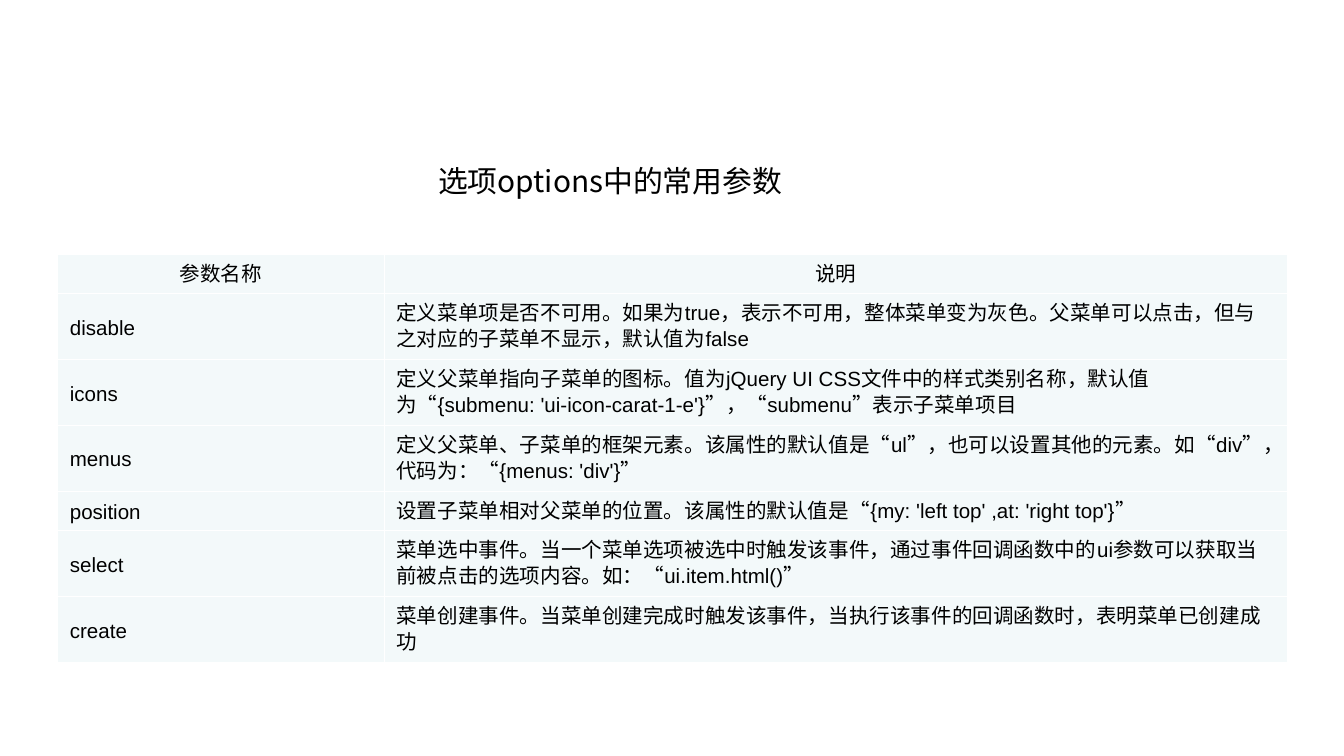
from pptx import Presentation
from pptx.dml.color import RGBColor
from pptx.enum.lang import MSO_LANGUAGE_ID
from pptx.enum.text import MSO_ANCHOR, PP_ALIGN
from pptx.oxml import parse_xml
from pptx.oxml.ns import nsdecls
from pptx.util import Inches, Pt

TITLE = "选项options中的常用参数"
HEADER = ("参数名称", "说明")
OPTIONS = [
    ("disable", "定义菜单项是否不可用。如果为true，表示不可用，整体菜单变为灰色。父菜单可以点击，但与之对应的子菜单不显示，默认值为false"),
    ("icons", "定义父菜单指向子菜单的图标。值为jQuery UI CSS文件中的样式类别名称，默认值为“{submenu: 'ui-icon-carat-1-e'}”，“submenu”表示子菜单项目"),
    ("menus", "定义父菜单、子菜单的框架元素。该属性的默认值是“ul”，也可以设置其他的元素。如“div”，代码为：“{menus: 'div'}”"),
    ("position", "设置子菜单相对父菜单的位置。该属性的默认值是“{my: 'left top' ,at: 'right top'}”"),
    ("select", "菜单选中事件。当一个菜单选项被选中时触发该事件，通过事件回调函数中的ui参数可以获取当前被点击的选项内容。如：“ui.item.html()”"),
    ("create", "菜单创建事件。当菜单创建完成时触发该事件，当执行该事件的回调函数时，表明菜单已创建成功"),
]
ROWS = [HEADER, *OPTIONS]
COLUMN_WIDTHS = (2.43, 6.72)
ROW_HEIGHTS = (0.23, 0.45, 0.46, 0.45, 0.23, 0.46, 0.39)
CHINESE_FONT = "Noto Sans CJK SC"
BLACK, WHITE, PALE_BLUE = "000000", "FFFFFF", "F3F9FA"


def color(value):
    return RGBColor.from_string(value)


def write_text(frame, text, size, font="Arial", align=PP_ALIGN.LEFT, line_spacing=None):
    frame.word_wrap = True
    paragraph = frame.paragraphs[0]
    paragraph.alignment = align
    paragraph.line_spacing = line_spacing
    run = paragraph.add_run()
    run.text = text
    run.font.size = Pt(size)
    run.font.name = font
    run.font.color.rgb = color(BLACK)
    run.font.language_id = MSO_LANGUAGE_ID.SIMPLIFIED_CHINESE
    east_asian = parse_xml(f'<a:ea {nsdecls("a")} typeface="{CHINESE_FONT}"/>')
    run.font._element.find("{*}latin").addnext(east_asian)


def set_borders(cell, line_color, width):
    properties = cell._tc.get_or_add_tcPr()
    for position, side in enumerate(("lnL", "lnR", "lnT", "lnB")):
        properties.insert(position, parse_xml(
            f'<a:{side} {nsdecls("a")} w="{Pt(width)}"><a:solidFill>'
            f'<a:srgbClr val="{line_color}"/></a:solidFill></a:{side}>'))


def add_title(slide):
    title = slide.shapes.title
    title.left, title.top = Inches(3.16), Inches(1.16)
    title.width, title.height = Inches(4.17), Inches(0.64)
    title.text_frame.vertical_anchor = MSO_ANCHOR.TOP
    write_text(title.text_frame, TITLE, 16, font=CHINESE_FONT)


def add_options_table(slide):
    table = slide.shapes.add_table(
        len(ROWS), len(COLUMN_WIDTHS), Inches(0.43), Inches(1.89),
        Inches(sum(COLUMN_WIDTHS)), Inches(sum(ROW_HEIGHTS))).table
    for column, width in zip(table.columns, COLUMN_WIDTHS):
        column.width = Inches(width)
    for row_index, texts in enumerate(ROWS):
        table.rows[row_index].height = Inches(ROW_HEIGHTS[row_index])
        for column_index, text in enumerate(texts):
            cell = table.cell(row_index, column_index)
            cell.vertical_anchor = MSO_ANCHOR.MIDDLE
            cell.margin_left = cell.margin_right = Inches(0.09)
            cell.margin_top = cell.margin_bottom = Inches(0.05)
            cell.fill.solid()
            cell.fill.fore_color.rgb = color(PALE_BLUE)
            set_borders(cell, WHITE, 0.45)
            align = PP_ALIGN.CENTER if row_index == 0 else PP_ALIGN.LEFT
            write_text(cell.text_frame, text, 11, align=align, line_spacing=Pt(14))
    table.first_row = False
    table.horz_banding = False


def main():
    presentation = Presentation()
    presentation.slide_width = Inches(10)
    presentation.slide_height = presentation.slide_width * 9 // 16
    slide = presentation.slides.add_slide(presentation.slide_layouts[5])
    add_title(slide)
    add_options_table(slide)
    presentation.save("out.pptx")


if __name__ == "__main__":
    main()
